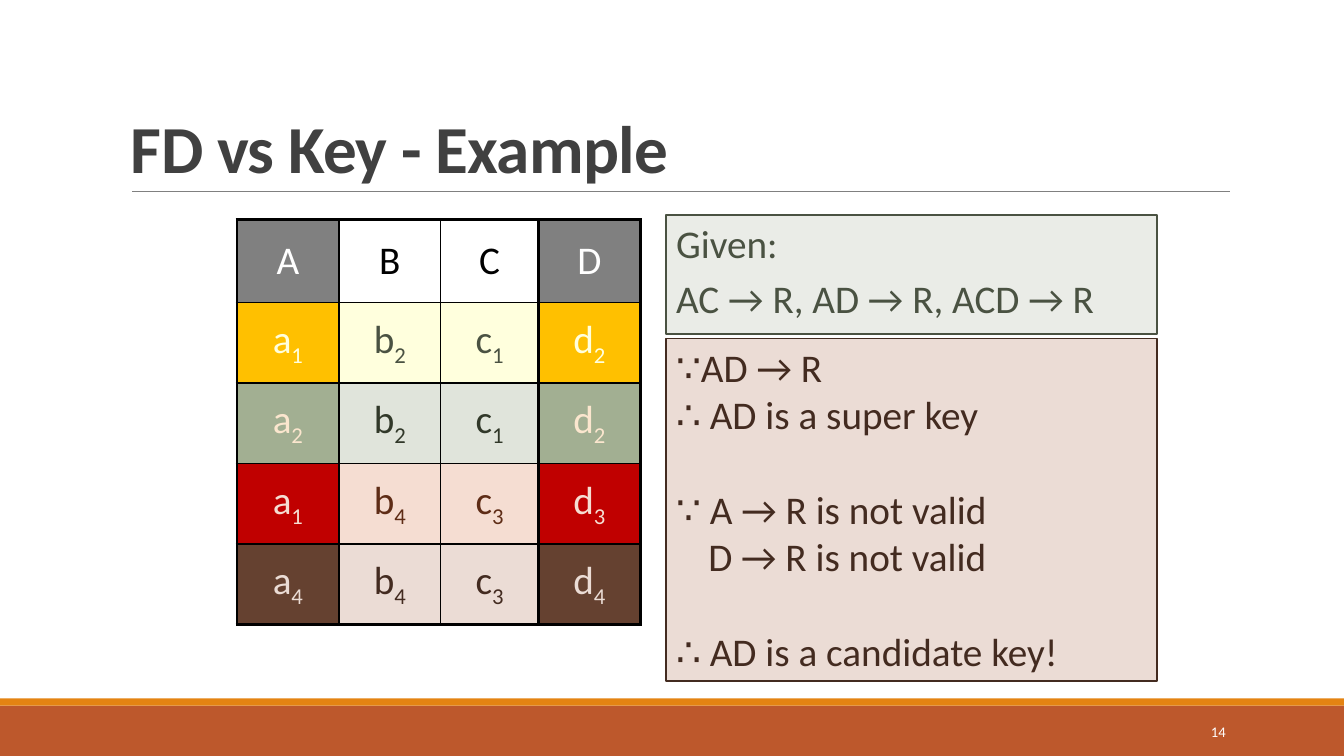
from lxml.etree import SubElement as Sub
from pptx import Presentation
from pptx.dml.color import RGBColor as Rgb
from pptx.enum.shapes import MSO_CONNECTOR as Conn, MSO_SHAPE as Kind
from pptx.enum.text import MSO_ANCHOR as Anchor, PP_ALIGN as Align
from pptx.oxml.ns import qn
from pptx.util import Cm, Pt

HEX = {
    "black": "000000", "white": "FFFFFF", "gray": "808080", "title": "404040",
    "rust": "BD582C", "orange": "E48312", "moss": "4A5242", "mist": "EAECE7",
    "cocoa": "432B20", "blush": "EBDCD5", "gold": "FFC000", "cream": "FFFFDD",
    "sage": "A2AF92", "pale": "E0E4DB", "sand": "FBE6CE", "pine": "313829",
    "red": "C00000", "peach": "F5DDD2", "brick": "5E2C16", "brown": "654130",
}
BODY = {"name": "Calibri", "size": Pt(28)}
HEAD = {"name": "Calibri", "size": Pt(48), "bold": True}
PAGE = {"name": "Calibri", "size": Pt(10.5)}
LINE = 34  # height of one body line in points

# Cell words, key fill, key ink, inner fill, inner ink
ROWS = [
    ("A B C D", "gray", "white", None, "black"),
    ("a1 b2 c1 d2", "gold", "cream", "cream", "moss"),
    ("a2 b2 c1 d2", "sage", "sand", "pale", "pine"),
    ("a1 b4 c3 d3", "red", "peach", "peach", "brick"),
    ("a4 b4 c3 d4", "brown", "blush", "blush", "cocoa"),
]
# Text, space before in points, left indent in cm
GIVEN = [("Given:", 0, 0), ("AC → R, AD → R, ACD → R", 5.6, 0)]
PROOF = [
    ("∵AD → R", 0, 0),
    ("∴ AD is a super key", 0, 0),
    ("∵ A → R is not valid", LINE, 0),
    ("D → R is not valid", 0, 0.81),
    ("∴ AD is a candidate key!", LINE, 0),
]


def color(name):
    return Rgb.from_string(HEX[name])


def put(item, form):
    for key, value in form.items():
        setattr(item, key, value)


def write(para, text, form, ink):
    run = para.add_run()
    run.text = text
    put(run.font, form)
    run.font.color.rgb = color(ink)
    return run


def block(slide, box, fill, edge=None):
    shape = slide.shapes.add_shape(Kind.RECTANGLE, *map(Cm, box))
    shape.shadow.inherit = False
    shape.fill.solid()
    shape.fill.fore_color.rgb = color(fill)
    if edge:
        shape.line.color.rgb = color(edge)
        shape.line.width = Pt(1.25)
    else:
        shape.line.fill.background()
    return shape


def label(slide, box, text, form, ink, anchor, align):
    frame = slide.shapes.add_textbox(*map(Cm, box)).text_frame
    put(frame, {"word_wrap": True, "vertical_anchor": anchor})
    para = frame.paragraphs[0]
    para.alignment = align
    return write(para, text, form, ink)


# Title with the rule below it
def header(slide, box):
    x, y, w, h = box
    rule = slide.shapes.add_connector(
        Conn.STRAIGHT, *map(Cm, (x + 0.28, y + h, x + w, y + h)))
    rule.line.color.rgb = color("gray")
    rule.line.width = Pt(0.5)
    Sub(rule._element.spPr, qn("a:effectLst"))
    run = label(slide, box, "FD vs Key - Example", HEAD, "title",
                Anchor.BOTTOM, Align.LEFT)
    run._r.get_or_add_rPr().set("spc", "-50")


# Two bands and the page number
def footer(slide, box):
    x, y, w, h = box
    block(slide, (x, y + 0.18, w, h - 0.18), "rust")
    block(slide, (x, y, w, 0.18), "orange")
    label(slide, (x + 27.51, y + 0.33, 3.63, 1.02), "14", PAGE, "white",
          Anchor.MIDDLE, Align.RIGHT)


def border(cell, sides):
    props = cell._tc.get_or_add_tcPr()
    for side, thick in sides.items():
        line = Sub(props, qn(f"a:ln{side}"), w=str(Pt(2.25 if thick else 1)))
        paint = Sub(line, qn("a:solidFill"))
        Sub(paint, qn("a:srgbClr"), val=HEX["black"])


# One cell: a letter and its index set low
def fill_cell(cell, word, fill, ink):
    if fill:
        cell.fill.solid()
        cell.fill.fore_color.rgb = color(fill)
    else:
        cell.fill.background()
    cell.vertical_anchor = Anchor.MIDDLE
    para = cell.text_frame.paragraphs[0]
    para.alignment = Align.CENTER
    write(para, word[0], BODY, ink)
    if word[1:]:
        low = write(para, word[1:], BODY, ink)
        low._r.get_or_add_rPr().set("baseline", "-25000")


# Relation with the key columns A and D marked
def relation(slide, box):
    table = slide.shapes.add_table(len(ROWS), 4, *map(Cm, box)).table
    put(table, {"first_row": False, "horz_banding": False})
    for col, width in zip(table.columns, (2.57, 2.57, 2.46, 2.57)):
        col.width = Cm(width)
    last = len(ROWS) - 1
    for i, (words, key, key_ink, fill, ink) in enumerate(ROWS):
        table.rows[i].height = Cm(2.03 if i else 2.08)
        for j, word in enumerate(words.split()):
            cell = table.cell(i, j)
            border(cell, {"L": j != 2, "R": j != 1,
                          "T": i == 0, "B": i == last})
            look = (key, key_ink) if j in (0, 3) else (fill, ink)
            fill_cell(cell, word, *look)


# Framed note
def note(slide, box, lines, fill, ink):
    frame = block(slide, box, fill, ink).text_frame
    put(frame, {"word_wrap": True, "vertical_anchor": Anchor.TOP})
    for i, (text, gap, indent) in enumerate(lines):
        para = frame.add_paragraph() if i else frame.paragraphs[0]
        para.alignment = Align.LEFT
        if gap:
            para.space_before = Pt(gap)
        if indent:
            para._p.get_or_add_pPr().set("marL", str(Cm(indent)))
        write(para, text, BODY, ink)


def main():
    deck = Presentation()
    put(deck, {"slide_width": Cm(33.87), "slide_height": Cm(19.05)})
    slide = deck.slides.add_slide(deck.slide_layouts[6])
    footer(slide, (0, 17.6, 33.87, 1.45))
    header(slide, (3.05, 0.79, 27.94, 4.04))
    relation(slide, (5.97, 5.54, 10.17, 10.2))
    note(slide, (16.79, 5.41, 12.37, 3), GIVEN, "mist", "moss")
    note(slide, (16.79, 8.53, 12.37, 8.64), PROOF, "blush", "cocoa")
    deck.save("out.pptx")


if __name__ == "__main__":
    main()
